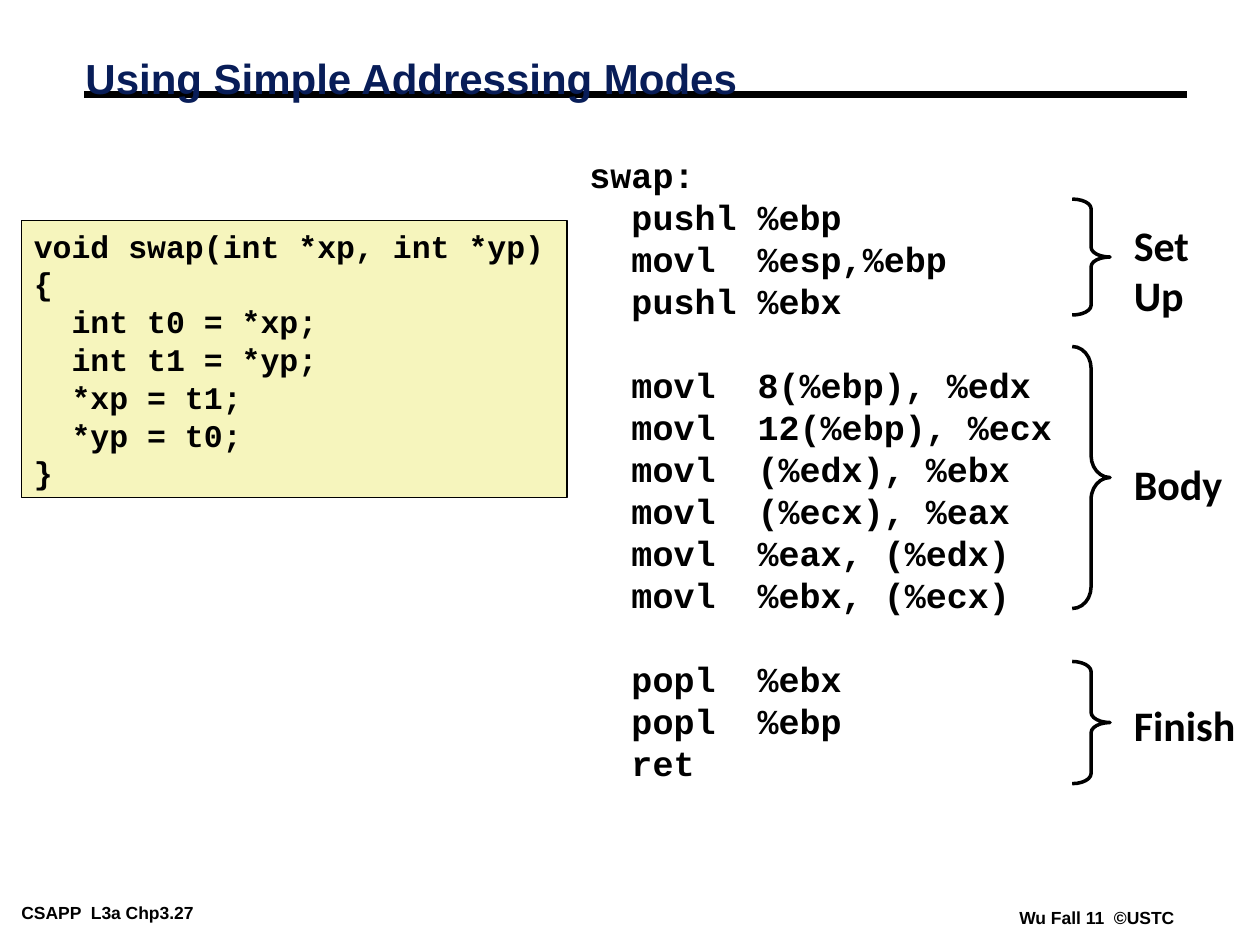
from dataclasses import dataclass

from lxml import etree
from pptx import Presentation
from pptx.dml.color import RGBColor
from pptx.enum.shapes import MSO_CONNECTOR, MSO_SHAPE
from pptx.enum.text import MSO_ANCHOR, PP_ALIGN
from pptx.oxml.ns import qn
from pptx.util import Inches, Pt

RECT, BRACE = MSO_SHAPE.RECTANGLE, MSO_SHAPE.RIGHT_BRACE
STRAIGHT = MSO_CONNECTOR.STRAIGHT
TOP, MIDDLE, LEFT = MSO_ANCHOR.TOP, MSO_ANCHOR.MIDDLE, PP_ALIGN.LEFT


@dataclass(frozen=True)
class Theme:
    ink: RGBColor = RGBColor(0x00, 0x00, 0x00)
    navy: RGBColor = RGBColor(0x08, 0x1D, 0x58)
    cream: RGBColor = RGBColor(0xF6, 0xF5, 0xBD)
    sans: str = "Arial"
    label: str = "Calibri"
    mono: str = "Courier New"
    heading_size: int = 24
    assembly_size: int = 20
    source_size: int = 18
    footer_size: int = 10


THEME = Theme()
LINE_PITCH = 1.2
BRACE_LEFT, BRACE_WIDTH, LABEL_LEFT = 8.51, 0.3, 8.9

SWAP_C = """void swap(int *xp, int *yp)
{
  int t0 = *xp;
  int t1 = *yp;
  *xp = t1;
  *yp = t0;
}"""

SWAP_ASSEMBLY = """swap:
  pushl %ebp
  movl  %esp,%ebp
  pushl %ebx

  movl  8(%ebp), %edx
  movl  12(%ebp), %ecx
  movl  (%edx), %ebx
  movl  (%ecx), %eax
  movl  %eax, (%edx)
  movl  %ebx, (%ecx)

  popl  %ebx
  popl  %ebp
  ret"""

# label, brace top, brace height, label top, label width, label height
PHASES = [
    ("Set\nUp", 1.58, 0.92, 1.69, 0.64, 0.9),
    ("Body", 2.75, 2.08, 3.59, 0.9, 0.5),
    ("Finish", 5.25, 0.97, 5.5, 1.01, 0.5),
]

# text, left, top, width
FOOTERS = [
    ("CSAPP  L3a Chp3.27", 0.1, 7.13, 2.02),
    ("Wu Fall 11  ©USTC", 8.02, 7.17, 1.38),
]


def inches(*lengths):
    return [Inches(length) for length in lengths]


def write(sp, text, font, size, color=THEME.ink, wrap=True, anchor=TOP,
          inset=(0.1, 0.05)):
    """Fill a shape with lines; an empty line becomes space before the next."""
    tf = sp.text_frame
    tf.word_wrap = wrap
    tf.vertical_anchor = anchor
    tf.margin_left = tf.margin_right = Inches(inset[0])
    tf.margin_top = tf.margin_bottom = Inches(inset[1])
    p, gap = tf.paragraphs[0], 0
    for i, line in enumerate(text.split("\n")):
        if not line:
            gap += size * LINE_PITCH
            continue
        if i:
            p = tf.add_paragraph()
        p.text = line
        p.alignment = LEFT
        if gap:
            p.space_before = Pt(gap)
            gap = 0
        p.font.name, p.font.size, p.font.bold = font, Pt(size), True
        p.font.color.rgb = color
    return tf


def add_text(s, box, text, font, size, **style):
    return write(s.shapes.add_textbox(*inches(*box)), text, font, size, **style)


def add_outlined(s, preset, box, width):
    sp = s.shapes.add_shape(preset, *inches(*box))
    sp.shadow.inherit = False
    sp.line.color.rgb = THEME.ink
    sp.line.width = Pt(width)
    return sp


def add_title(s, text):
    rule = s.shapes.add_connector(STRAIGHT, *inches(0.67, 0.75, 9.42, 0.75))
    rule.line.color.rgb = THEME.ink
    rule.line.width = Pt(4.5)
    etree.SubElement(rule._element.spPr, qn("a:effectLst"))
    tf = add_text(s, (0.58, 0.33, 8.37, 0.63), text, THEME.sans,
                  THEME.heading_size, color=THEME.navy, anchor=MIDDLE)
    tf.paragraphs[0].line_spacing = 0.87


def add_source_panel(s, code):
    sp = add_outlined(s, RECT, (0.17, 1.75, 4.33, 2.2), 1)
    sp.fill.solid()
    sp.fill.fore_color.rgb = THEME.cream
    write(sp, code, THEME.mono, THEME.source_size)


def add_phase(s, label, top, height, label_top, label_width, label_height):
    """Brace beside a run of instructions, with its label."""
    sp = add_outlined(s, BRACE, (BRACE_LEFT, top, BRACE_WIDTH, height), 2)
    sp.fill.background()
    sp.adjustments[0] = height / 12 / BRACE_WIDTH
    sp.adjustments[1] = 0.5
    add_text(s, (LABEL_LEFT, label_top, label_width, label_height), label,
             THEME.label, THEME.heading_size, wrap=False)


def main():
    prs = Presentation()
    prs.slide_width, prs.slide_height = inches(10, 7.5)
    s = prs.slides.add_slide(prs.slide_layouts[6])
    for text, left, top, width in FOOTERS:
        add_text(s, (left, top, width, 0.22), text, THEME.sans,
                 THEME.footer_size, wrap=False, inset=(0.07, 0.03))
    add_title(s, "Using Simple Addressing Modes")
    add_source_panel(s, SWAP_C)
    for phase in PHASES:
        add_phase(s, *phase)
    add_text(s, (4.58, 1.17, 4.58, 5.1), SWAP_ASSEMBLY, THEME.mono,
             THEME.assembly_size)
    prs.save("out.pptx")


if __name__ == "__main__":
    main()
